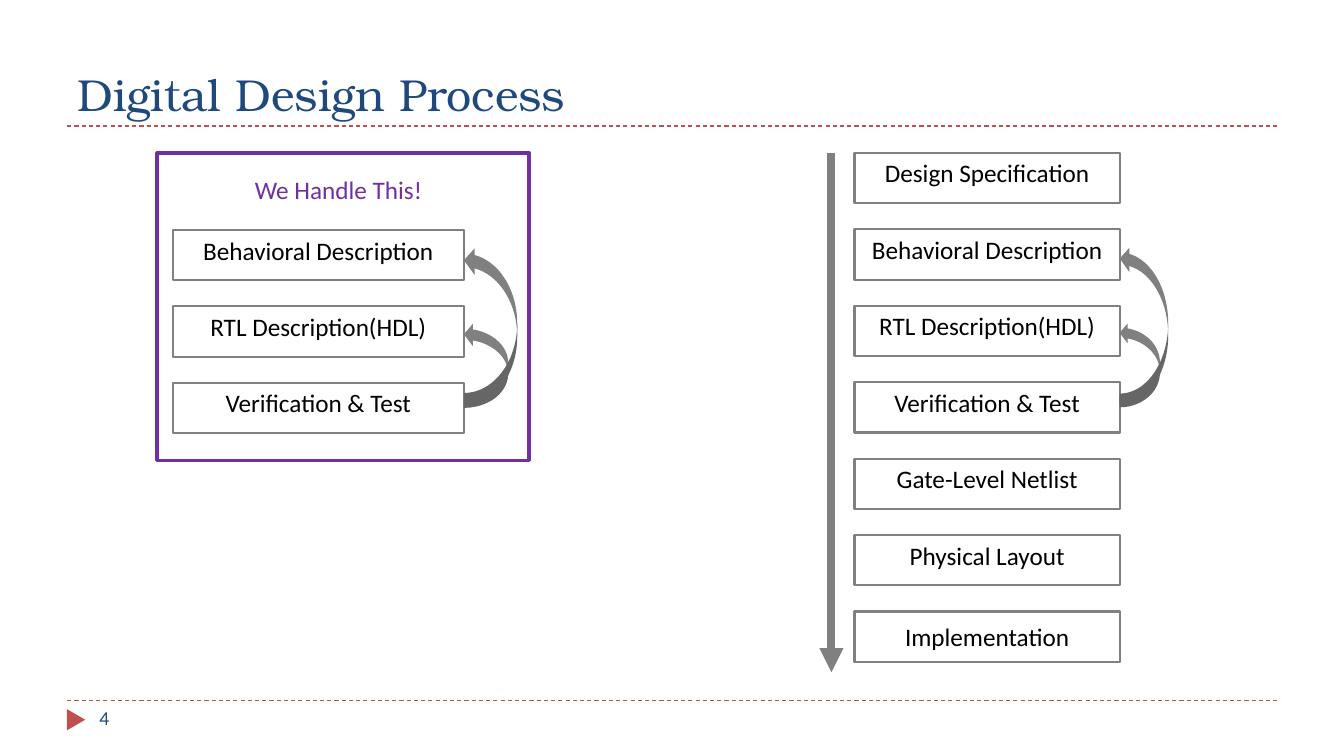
import pptx
import pptx.util
import pptx.dml.color
import pptx.enum.dml
import pptx.enum.shapes
import pptx.enum.text
import pptx.oxml
import pptx.oxml.ns
from lxml import etree

Pt = pptx.util.Pt
Kind = pptx.enum.shapes.MSO_SHAPE
Anchor = pptx.enum.text.MSO_ANCHOR
Align = pptx.enum.text.PP_ALIGN
qn = pptx.oxml.ns.qn


class Theme:
    """Colours, fonts and type sizes of the slide."""
    navy, red, gray, purple, black = "1F497D", "C0504D", "808080", "7030A0", "000000"
    serif, sans = "TeX Gyre Bonum", "Calibri"
    head, body, foot = 32, 18, 14


def tint(code):
    """Turn a hex code into a colour."""
    return pptx.dml.color.RGBColor.from_string(code)


def write(shape, text, size, color, font=Theme.sans, align=Align.LEFT, **frame):
    """Put one formatted line of text in a shape."""
    body = shape.text_frame
    for name, value in {"word_wrap": True, "vertical_anchor": Anchor.TOP, **frame}.items():
        setattr(body, name, value)
    body.text = text
    para = body.paragraphs[0]
    para.alignment = align
    face = para.runs[0].font
    for name, value in {"size": Pt(size), "name": font}.items():
        setattr(face, name, value)
    face.color.rgb = tint(color)


def label(slide, box, *text):
    """Add a text box holding one line."""
    write(slide.shapes.add_textbox(*map(Pt, box)), *text)


def draw(slide, kind, box, fill=None, edge=None, width=1.5):
    """Add a preset shape with a plain fill or a plain outline."""
    shape = slide.shapes.add_shape(kind, *map(Pt, box))
    shape.shadow.inherit = False
    for part, color in ((shape.fill, fill), (shape.line.fill, edge)):
        if color:
            part.solid()
            part.fore_color.rgb = tint(color)
        else:
            part.background()
    if edge:
        shape.line.width = Pt(width)
    return shape


def rule(slide, ends, color, width, dash=None, tip=False):
    """Add a straight line, dashed or tipped with an arrowhead."""
    link = slide.shapes.add_connector(pptx.enum.shapes.MSO_CONNECTOR.STRAIGHT, *map(Pt, ends))
    link.line.color.rgb = tint(color)
    for name, value in {"width": Pt(width), "dash_style": dash}.items():
        setattr(link.line, name, value)
    props = link.element.spPr
    if tip:
        etree.SubElement(props.find(qn("a:ln")), qn("a:tailEnd"), type="triangle")
    etree.SubElement(props, qn("a:effectLst"))


def frame(slide, box):
    """Place the title, both rules and the page mark in the page area."""
    x, y, w, h = box
    for level in (y + 78, y + h):
        rule(slide, (x, level, x + w, level), Theme.red, 0.75, pptx.enum.dml.MSO_LINE.DASH)
    mark = draw(slide, Kind.ISOSCELES_TRIANGLE, (x - 1.2, y + h + 7.2, 15.1, 13), Theme.red)
    mark.rotation = 90
    title = slide.shapes.title
    for name, value in zip(("left", "top", "width", "height"), (x, y, w, 78)):
        setattr(title, name, Pt(value))
    write(title, "Digital Design Process", Theme.head, Theme.navy, Theme.serif,
          vertical_anchor=Anchor.BOTTOM, auto_size=pptx.enum.text.MSO_AUTO_SIZE.NONE)
    label(slide, (x + 16, y + h, 208, 28.8), "4", Theme.foot, Theme.navy)


def stack(slide, box, steps, pitch=54.6):
    """Place equal step boxes downward from the given first box."""
    x, y, w, h = box
    for row, step in enumerate(steps):
        rect = draw(slide, Kind.RECTANGLE, (x, y + row * pitch, w, h), edge=Theme.gray)
        inset = Pt(7.2 if step == "Implementation" else 3.6)
        write(rect, step, Theme.body, Theme.black, align=Align.CENTER, margin_top=inset)


def loops(slide, box):
    """Place the two return arrows beside the first box of a loop."""
    x, y, w, h = box
    for drop, share, tall in ((66.7, 0.152, 60.5), (12.2, 0.183, 113.8)):
        bend = draw(slide, Kind.CURVED_LEFT_ARROW, (x + w, y + drop, w * share, tall), Theme.gray)
        for index, value in enumerate((0.25, 0.5, 0.2)):
            bend.adjustments[index] = value
        bend.element.spPr.find(qn("a:xfrm")).set("flipV", "1")


def flow(slide, box, steps):
    """Place the whole process with its downward arrow."""
    x, y, w, h = box
    rule(slide, (x - 16.5, y, x - 16.5, y + h), Theme.gray, 5.75, tip=True)
    stack(slide, (x, y, w, 36), steps)
    loops(slide, (x, y + 54.6, w, 36))


def claim(slide, box, steps):
    """Place the framed part of the process."""
    x, y, w, h = box
    first = (x + 11, y + 55, w - 57.6, 36)
    stack(slide, first, steps)
    loops(slide, first)
    label(slide, (x + 62.6, y + 11.5, 140, 28.8), "We Handle This!", Theme.body, Theme.purple)
    draw(slide, Kind.RECTANGLE, box, edge=Theme.purple, width=2.5)


def main():
    """Build and save the slide."""
    deck = pptx.Presentation()
    for name, value in {"slide_width": 960, "slide_height": 540}.items():
        setattr(deck, name, Pt(value))
    slide = deck.slides.add_slide(deck.slide_layouts[5])
    steps = ["Design Specification", "Behavioral Description", "RTL Description(HDL)",
             "Verification & Test", "Gate-Level Netlist", "Physical Layout", "Implementation"]
    frame(slide, (48, 12, 864, 488.4))
    flow(slide, (610.4, 109.2, 189.4, 371), steps)
    claim(slide, (112.3, 109.2, 265.7, 219.6), steps[1:4])
    deck.save("out.pptx")


if __name__ == "__main__":
    main()
